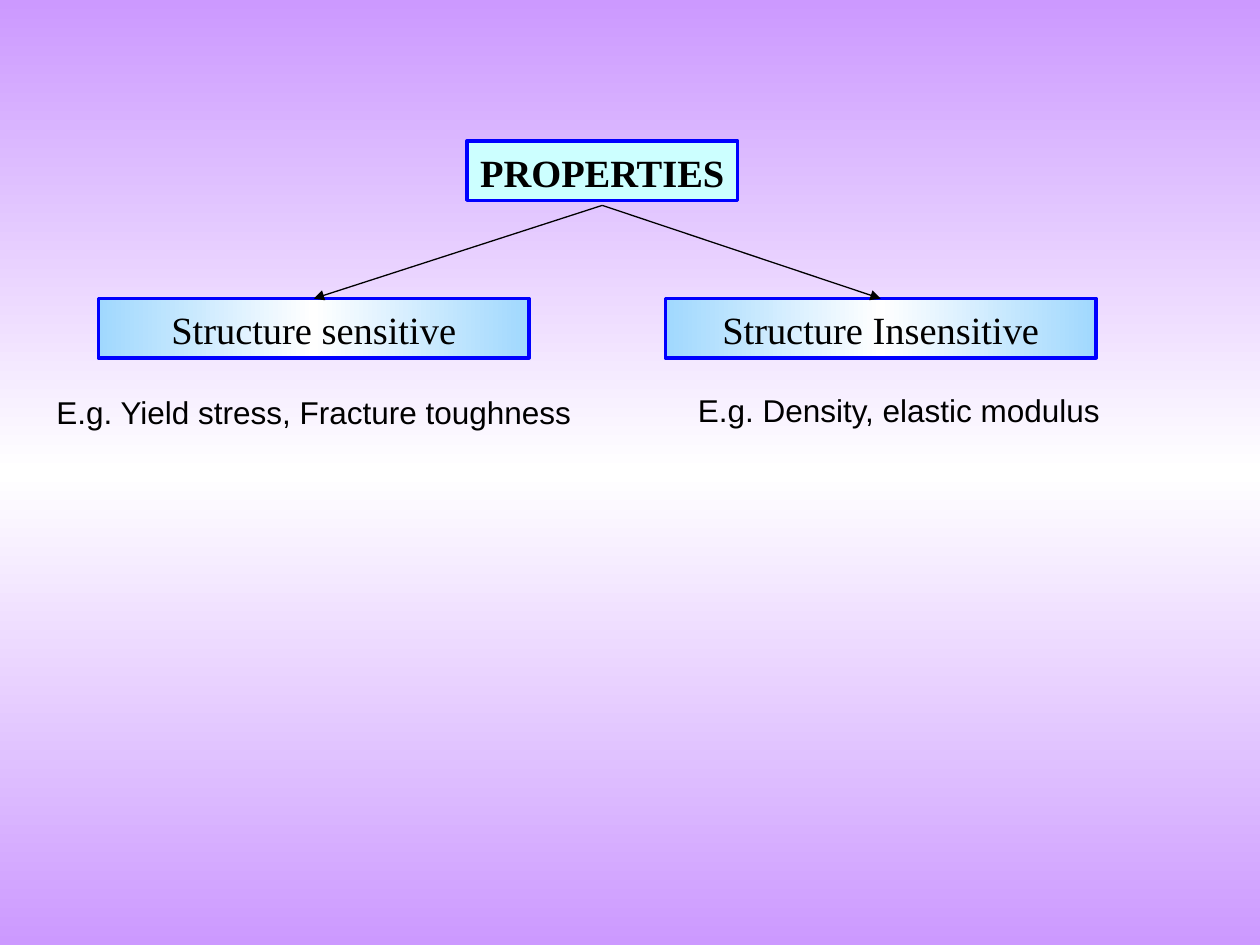
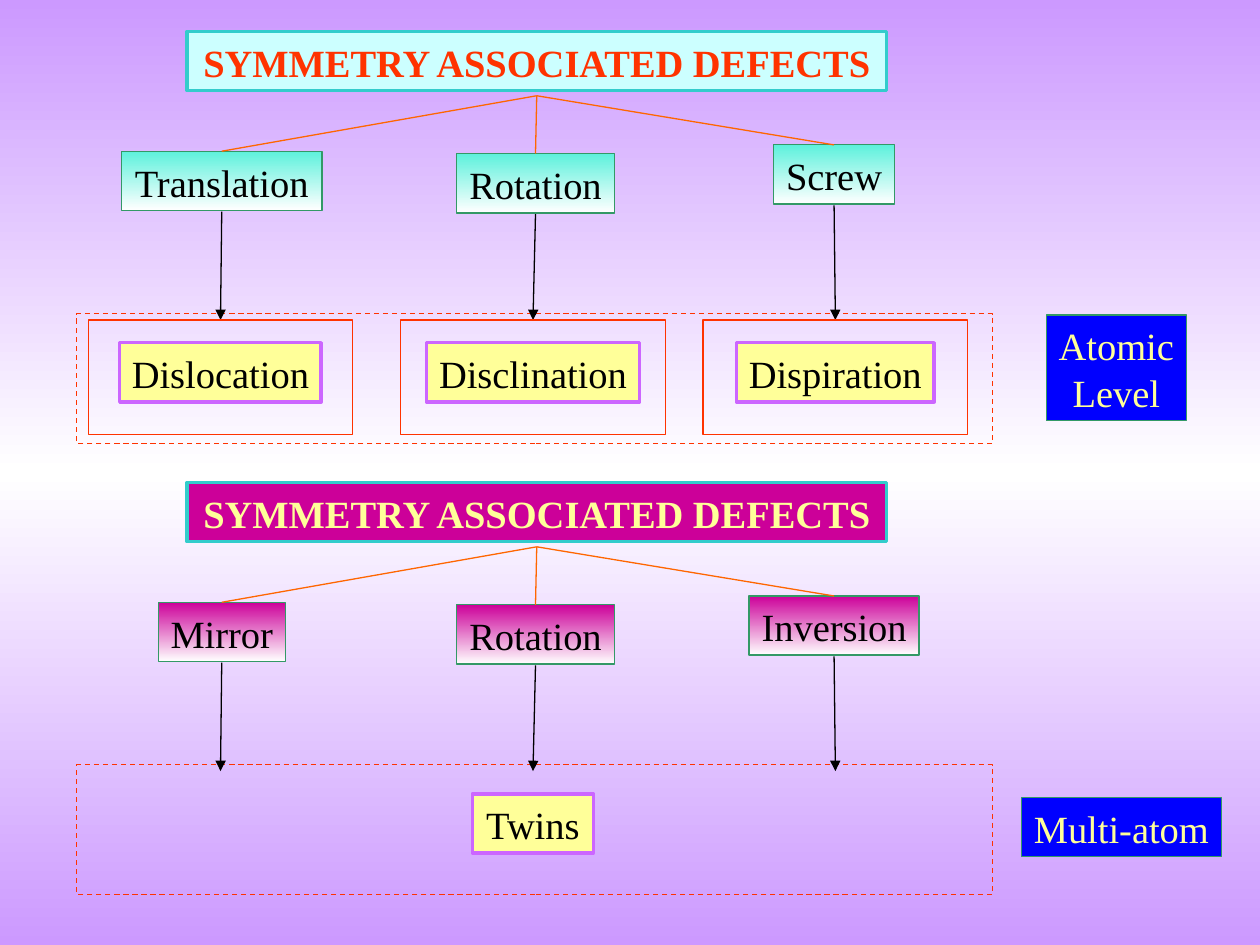
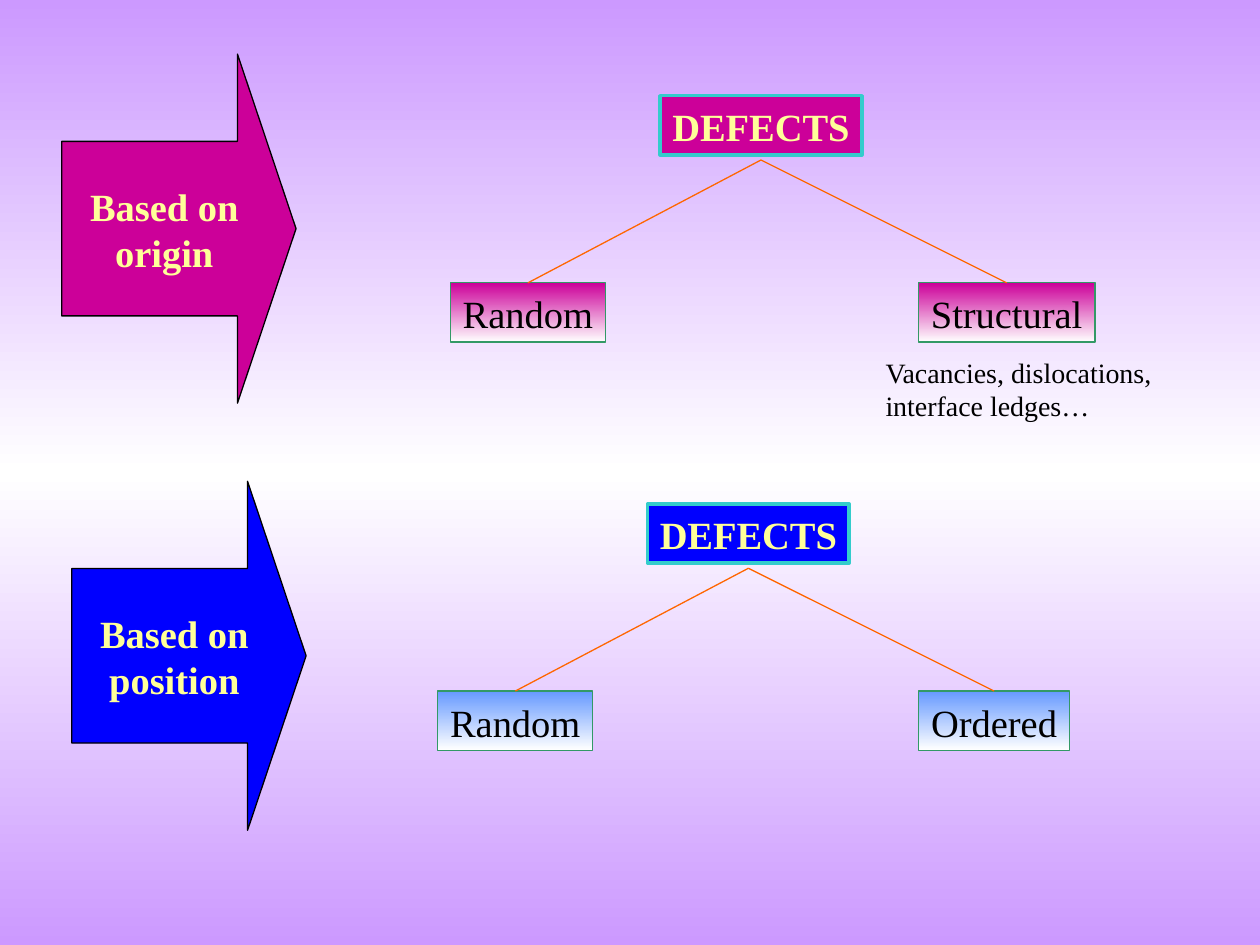
from collections import namedtuple
from copy import deepcopy

from lxml.etree import SubElement
from pptx import Presentation
from pptx.dml.color import RGBColor
from pptx.enum.dml import MSO_LINE
from pptx.enum.shapes import MSO_CONNECTOR, MSO_SHAPE
from pptx.enum.text import MSO_ANCHOR, PP_ALIGN
from pptx.oxml.ns import qn
from pptx.util import Inches, Pt

Look = namedtuple("Look", "fill line weight ink bold angle", defaults=("000000", False, 270))

SERIF, SANS = "Times New Roman", "Arial"
BLACK, WHITE, ORANGE, RED = "000000", "FFFFFF", "FF6600", "FF3300"
BLUE, MAGENTA, CREAM, ICE = "0000FF", "CC0099", "FFFF99", "CCFFFF"
GREEN, TURQUOISE, LILAC, SKY = "339966", "33CCCC", "CC99FF", "A0D8FE"
LABEL_HEIGHT = 0.47

PROPERTY_ROOT = Look(ICE, BLUE, 2, bold=True)
PROPERTY_KIND = Look((SKY, WHITE, SKY), BLUE, 2, angle=0)
ATOMIC_ROOT = Look(ICE, TURQUOISE, 2, RED, True)
MAGENTA_ROOT = Look(MAGENTA, TURQUOISE, 2, CREAM, True)
BLUE_ROOT = Look(BLUE, TURQUOISE, 2, CREAM, True)
AQUA_KIND = Look(("5DF1DC", WHITE), GREEN, 0.75)
MAGENTA_KIND = Look((MAGENTA, WHITE), GREEN, 0.75)
BLUE_KIND = Look(("6699FF", WHITE), GREEN, 0.75)
RESULT = Look(CREAM, "CC66FF", 2)
LEVEL = Look(BLUE, GREEN, 0.75, CREAM)
FRAME = Look(None, RED, 0.75)


def color(value):
    """Turn a hex string into a colour."""
    return RGBColor.from_string(value)


def paint(owner, fill, paints, angle=270):
    """Fill with nothing, one colour, or a gradient of two or three colours."""
    if paints is None:
        fill.background()
    elif isinstance(paints, str):
        fill.solid()
        fill.fore_color.rgb = color(paints)
    else:
        fill.gradient()
        fill.gradient_angle = angle
        for stop, value in zip(fill.gradient_stops, paints):
            stop.color.rgb = color(value)
        if len(paints) == 3:
            stops = next(owner.element.iter(qn("a:gsLst")))
            stops.append(deepcopy(stops[0]))
            for index, value in enumerate(paints):
                fill.gradient_stops[index].position = index / 2
                fill.gradient_stops[index].color.rgb = color(value)


def write(box, text, size=22, font=SERIF, ink=BLACK, bold=False,
          align=PP_ALIGN.CENTER, anchor=MSO_ANCHOR.TOP, wrap=False):
    """Put styled text into a box."""
    frame = box.text_frame
    frame.word_wrap = wrap
    frame.vertical_anchor = anchor
    frame.margin_top = Inches(0.06)
    frame.text = text
    for para in frame.paragraphs:
        para.alignment = align
        para.line_spacing = Pt(size * 1.2)
        para.font.size = Pt(size)
        para.font.name = font
        para.font.bold = bold
        para.font.color.rgb = color(ink)


def add_box(page, left, top, width, height, look, kind=MSO_SHAPE.RECTANGLE):
    """Add a preset shape with the given look."""
    box = page.shapes.add_shape(kind, Inches(left), Inches(top), Inches(width), Inches(height))
    box.shadow.inherit = False
    paint(box, box.fill, look.fill, look.angle)
    box.line.color.rgb = color(look.line)
    box.line.width = Pt(look.weight)
    return box


def add_label(page, center, top, width, text, look, height=LABEL_HEIGHT):
    """Add a text rectangle centred on a vertical axis."""
    box = add_box(page, center - width / 2, top, width, height, look)
    write(box, text, ink=look.ink, bold=look.bold)


def add_note(page, left, top, width, height, text, size, font, wrap=False):
    """Add plain left-aligned text."""
    box = page.shapes.add_textbox(Inches(left), Inches(top), Inches(width), Inches(height))
    write(box, text, size, font, align=PP_ALIGN.LEFT, wrap=wrap)


def add_line(page, start, end, ink, arrow=False):
    """Add a thin straight line, with an arrowhead at its end on request."""
    line = page.shapes.add_connector(
        MSO_CONNECTOR.STRAIGHT, *(Inches(value) for value in (*start, *end)))
    line.line.color.rgb = color(ink)
    line.line.width = Pt(0.75)
    if arrow:
        SubElement(next(line.element.iter(qn("a:ln"))), qn("a:tailEnd"), type="triangle")
    SubElement(line.element.spPr, qn("a:effectLst"))


def add_tree(page, center, top, root, kinds, looks, ink=ORANGE, arrow=False):
    """Add a root label and the labels that branch from it."""
    root_look, kind_look = looks
    add_label(page, center, top, root[1], root[0], root_look)
    for text, shift, drop, width in kinds:
        add_label(page, center + shift, top + drop, width, text, kind_look)
        add_line(page, (center, top + 0.51), (center + shift, top + drop), ink, arrow)


def add_symmetry(page, top, names, looks, results, framed):
    """Add a tree of symmetries whose arrows lead to a dashed band of defects."""
    center = 4.26
    shifts, drops, tips = (-2.5, -0.01, 2.36), (0.95, 0.97, 0.9), (-2.51, -0.03, 2.37)
    kinds = [(text, shift, drop, width)
             for (text, width), shift, drop in zip(names, shifts, drops)]
    add_tree(page, center, top, ("SYMMETRY ASSOCIATED DEFECTS", 5.55), kinds, looks)
    band = add_box(page, center - 3.65, top + 2.24, 7.27, 1.03, FRAME)
    band.line.dash_style = MSO_LINE.DASH
    for shift, drop, tip in zip(shifts, drops, tips):
        add_line(page, (center + shift, top + drop + 0.48), (center + tip, top + 2.29), BLACK, True)
        if framed:
            add_box(page, center + tip - 1.05, top + 2.29, 2.1, 0.91, FRAME)
    for text, width, column in results:
        add_label(page, center + tips[column], top + 2.47, width, text, RESULT)


def add_basis(page, left, top, word, fill):
    """Add a block arrow that names the basis of a classification."""
    look = Look(fill, BLACK, 0.75)
    box = add_box(page, left, top, 1.86, 2.77, look, MSO_SHAPE.RIGHT_ARROW)
    box.adjustments[0], box.adjustments[1] = 0.5, 0.25
    write(box, f"Based on\n{word}", ink=CREAM, bold=True, anchor=MSO_ANCHOR.MIDDLE)


def add_defects(page, center, top, names, looks):
    """Add a two-way classification of defects."""
    kinds = [(text, shift, 1.485, width)
             for (text, width), shift in zip(names, (-1.85, 1.95))]
    add_tree(page, center, top, ("DEFECTS", 1.6), kinds, looks)


def build_properties(page):
    """Build the slide on kinds of properties."""
    kinds = [("Structure sensitive", -2.29, 1.25, 3.42),
             ("Structure Insensitive", 2.21, 1.25, 3.42)]
    add_tree(page, 4.78, 1.12, ("PROPERTIES", 2.15), kinds,
             (PROPERTY_ROOT, PROPERTY_KIND), BLACK, True)
    add_note(page, 0.35, 3.06, 4.37, 0.4, "E.g. Yield stress, Fracture toughness", 18, SANS)
    add_note(page, 5.44, 3.04, 3.41, 0.4, "E.g. Density, elastic modulus", 18, SANS)


def build_symmetries(page):
    """Build the slide on defects tied to symmetry."""
    add_symmetry(page, 0.25, [("Translation", 1.59), ("Rotation", 1.25), ("Screw", 0.96)],
                 (ATOMIC_ROOT, AQUA_KIND),
                 [("Dislocation", 1.6, 0), ("Disclination", 1.69, 1), ("Dispiration", 1.57, 2)],
                 framed=True)
    add_label(page, 8.86, 2.5, 1.11, "Atomic\vLevel", LEVEL, 0.84)
    add_symmetry(page, 3.83, [("Mirror", 1.01), ("Rotation", 1.25), ("Inversion", 1.35)],
                 (MAGENTA_ROOT, MAGENTA_KIND), [("Twins", 0.96, 1)], framed=False)
    add_label(page, 8.9, 6.33, 1.59, "Multi-atom", LEVEL)


def build_classes(page):
    """Build the slide on defects by origin and by position."""
    add_defects(page, 6.04, 0.76, [("Random", 1.23), ("Structural", 1.4)],
                (MAGENTA_ROOT, MAGENTA_KIND))
    add_defects(page, 5.94, 4, [("Random", 1.23), ("Ordered", 1.2)], (BLUE_ROOT, BLUE_KIND))
    add_basis(page, 0.49, 0.43, "origin", MAGENTA)
    add_basis(page, 0.57, 3.82, "position", BLUE)
    add_note(page, 6.93, 2.76, 3.07, 0.64, "Vacancies, dislocations, interface ledges…",
             16, SERIF, wrap=True)


def main():
    """Build and save the deck."""
    deck = Presentation()
    deck.slide_width, deck.slide_height = Inches(10), Inches(7.5)
    master = deck.slide_master
    paint(master, master.background.fill, (LILAC, WHITE, LILAC))
    for build in (build_properties, build_symmetries, build_classes):
        build(deck.slides.add_slide(deck.slide_layouts[6]))
    deck.save("out.pptx")


if __name__ == "__main__":
    main()
